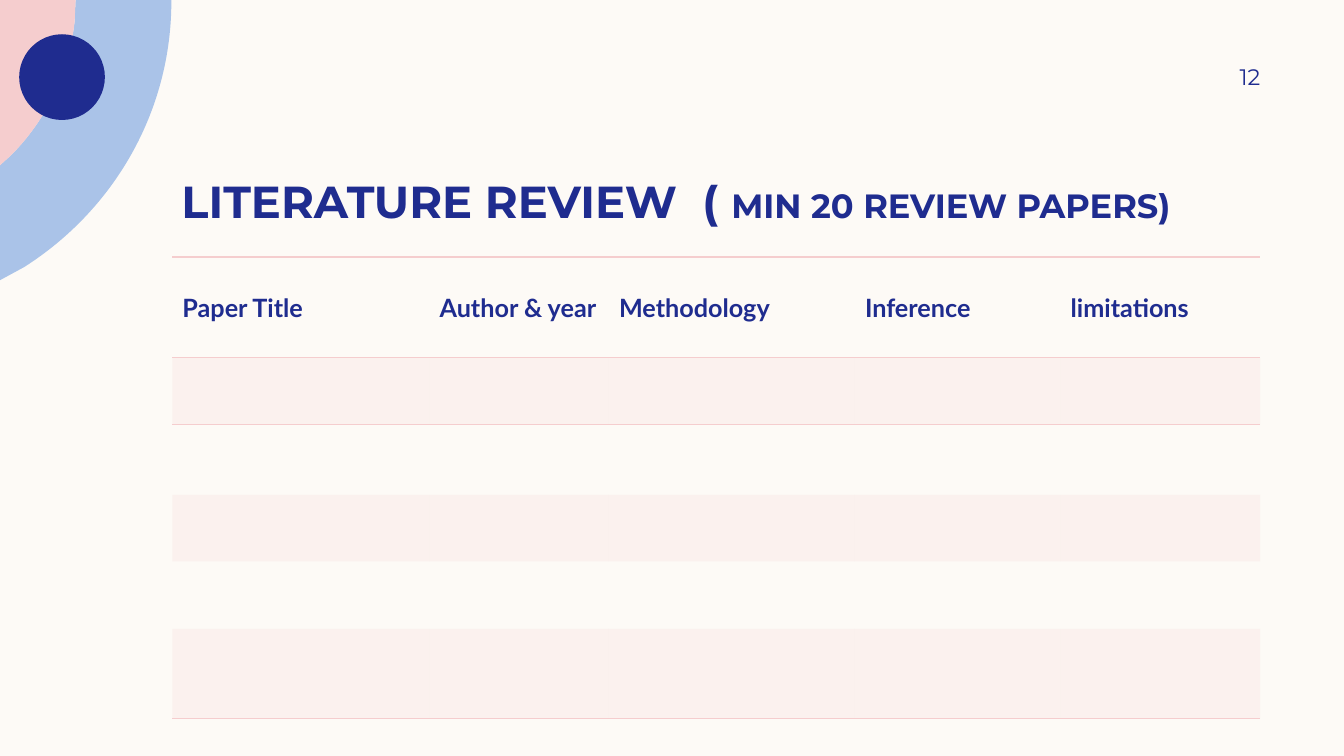
from lxml.etree import SubElement
from pptx import Presentation
from pptx.dml.color import RGBColor
from pptx.enum.shapes import MSO_SHAPE as Shape
from pptx.enum.text import MSO_ANCHOR as Anchor, MSO_AUTO_SIZE as AutoSize, PP_ALIGN as Align
from pptx.oxml import parse_xml
from pptx.oxml.ns import nsdecls, qn
from pptx.util import Inches, Pt

# Content
TITLE = [("LITERATURE REVIEW  ( ", "title"), ("MIN 20 REVIEW PAPERS)", "subtitle")]
PAGE_NUMBER = "12"
HEADERS = ["Paper Title", "Author & year", "Methodology", "Inference", "limitations"]
COLUMN_WIDTHS = [2.55, 1.78, 2.44, 2.04, 1.98]
ROW_HEIGHTS = [1.0, 0.66, 0.7, 0.66, 0.67, 0.89]

# Corner edges: each step is one point (line) or two handles and an end (curve)
INNER_EDGE = [[(0.75, 0)], [(0.74, 0.22)],
              [(0.68, 0.73), (0.46, 1.19), (0.11, 1.54)], [(0, 1.64)]]
OUTER_EDGE = [[(1.7, 0)], [(1.7, 0.01)],
              [(1.7, 1.12), (1.12, 2.09), (0.24, 2.65)], [(0, 2.78)]]


class Theme:
    colors = {"paper": "FDFAF6", "navy": "1F2C8F", "blue": "AAC3E8", "pink": "F5CDCE"}
    styles = {
        "title": {"name": "Montserrat", "size": Pt(32), "bold": True},
        "subtitle": {"name": "Montserrat", "size": Pt(24), "bold": True},
        "header": {"name": "Lato", "size": Pt(18), "bold": True},
        "number": {"name": "Montserrat", "size": Pt(16), "bold": False},
    }
    band_alpha = 20
    plain_table = "{2D5ABB26-0587-4C30-8999-92F81FD0307C}"

    @classmethod
    def rgb(cls, key):
        return RGBColor.from_string(cls.colors[key])


def add_span(para, text, style):
    span = para.add_run()
    span.text = text
    for key, value in Theme.styles[style].items():
        setattr(span.font, key, value)
    span.font.color.rgb = Theme.rgb("navy")


def format_frame(frame, anchor, margins):
    values = {"word_wrap": True, "auto_size": AutoSize.NONE, "vertical_anchor": anchor}
    sides = ("margin_left", "margin_top", "margin_right", "margin_bottom")
    values.update(zip(sides, map(Inches, margins)))
    for key, value in values.items():
        setattr(frame, key, value)


def paint(shape, color):
    shape.shadow.inherit = False
    shape.fill.solid()
    shape.fill.fore_color.rgb = Theme.rgb(color)
    shape.line.fill.background()


def reverse(edge):
    """Walk an edge from its end back to its start."""
    steps = [edge[-1][-1:]]
    for before, step in reversed(list(zip(edge, edge[1:]))):
        steps.append(step[-2::-1] + before[-1:])
    return steps


def add_outline(page, steps, color):
    steps = [[tuple(map(Inches, point)) for point in step] for step in steps]
    ends = [step[-1] for step in steps]
    builder = page.shapes.build_freeform(*ends[0])
    builder.add_line_segments(ends[1:], close=True)
    shape = builder.convert_to_shape()
    # Turn three-point steps into curves; the outlines start at the slide corner
    lines = list(shape._element.iter(qn("a:lnTo")))
    for line, step in zip(lines, steps[1:]):
        if len(step) == 3:
            line.tag = qn("a:cubicBezTo")
            line.clear()
            for x, y in step:
                point = SubElement(line, qn("a:pt"))
                point.set("x", str(int(x)))
                point.set("y", str(int(y)))
    paint(shape, color)


def add_border(cell, tags):
    properties = cell._tc.get_or_add_tcPr()
    for position, tag in enumerate(tags):
        properties.insert(position, parse_xml(
            f'<a:{tag} {nsdecls("a")} w="12700"><a:solidFill>'
            f'<a:srgbClr val="{Theme.colors["pink"]}"/></a:solidFill></a:{tag}>'))


def add_corner(page):
    add_outline(page, OUTER_EDGE + reverse(INNER_EDGE), "blue")
    add_outline(page, [[(0, 0)]] + INNER_EDGE, "pink")
    dot = page.shapes.add_shape(Shape.OVAL, *map(Inches, (0.19, 0.34, 0.85, 0.85)))
    paint(dot, "navy")


def add_title(page):
    title = page.shapes.title
    box = {"left": 1.7, "top": 1.19, "width": 11.5, "height": 1.07}
    for key, value in box.items():
        setattr(title, key, Inches(value))
    format_frame(title.text_frame, Anchor.BOTTOM, (0.1, 0, 0.1, 0))
    para = title.text_frame.paragraphs[0]
    para.alignment = Align.LEFT
    for text, style in TITLE:
        add_span(para, text, style)


def add_review_table(page):
    frame = page.shapes.add_table(
        len(ROW_HEIGHTS), len(HEADERS), Inches(1.71), Inches(2.55),
        Inches(sum(COLUMN_WIDTHS)), Inches(sum(ROW_HEIGHTS)))
    table = frame.table
    table.first_row = table.horz_banding = False
    table._tbl.tblPr.find(qn("a:tableStyleId")).text = Theme.plain_table
    for column, width in zip(table.columns, COLUMN_WIDTHS):
        column.width = Inches(width)
    borders = {0: ("lnT", "lnB"), 1: ("lnT",), len(ROW_HEIGHTS) - 1: ("lnB",)}
    for index, (row, height) in enumerate(zip(table.rows, ROW_HEIGHTS)):
        row.height = Inches(height)
        for cell, header in zip(row.cells, HEADERS):
            # Odd rows carry the pale band
            if index % 2:
                cell.fill.solid()
                cell.fill.fore_color.rgb = Theme.rgb("pink")
                color = cell._tc.tcPr.find(".//" + qn("a:srgbClr"))
                SubElement(color, qn("a:alpha")).set("val", str(Theme.band_alpha * 1000))
            else:
                cell.fill.background()
            if index == 0:
                cell.vertical_anchor = Anchor.MIDDLE
                add_span(cell.text_frame.paragraphs[0], header, "header")
            add_border(cell, borders.get(index, ()))


def add_page_number(page):
    box = page.shapes.add_textbox(*map(Inches, (11.33, 0.5, 1.17, 0.52)))
    format_frame(box.text_frame, Anchor.MIDDLE, (0.1, 0.05, 0, 0.05))
    para = box.text_frame.paragraphs[0]
    para.alignment = Align.RIGHT
    add_span(para, PAGE_NUMBER, "number")


def main():
    deck = Presentation()
    deck.slide_width, deck.slide_height = Inches(13.33), Inches(7.5)
    page = deck.slides.add_slide(deck.slide_layouts[5])
    page.background.fill.solid()
    page.background.fill.fore_color.rgb = Theme.rgb("paper")
    add_corner(page)
    add_title(page)
    add_review_table(page)
    add_page_number(page)
    deck.save("out.pptx")


if __name__ == "__main__":
    main()
